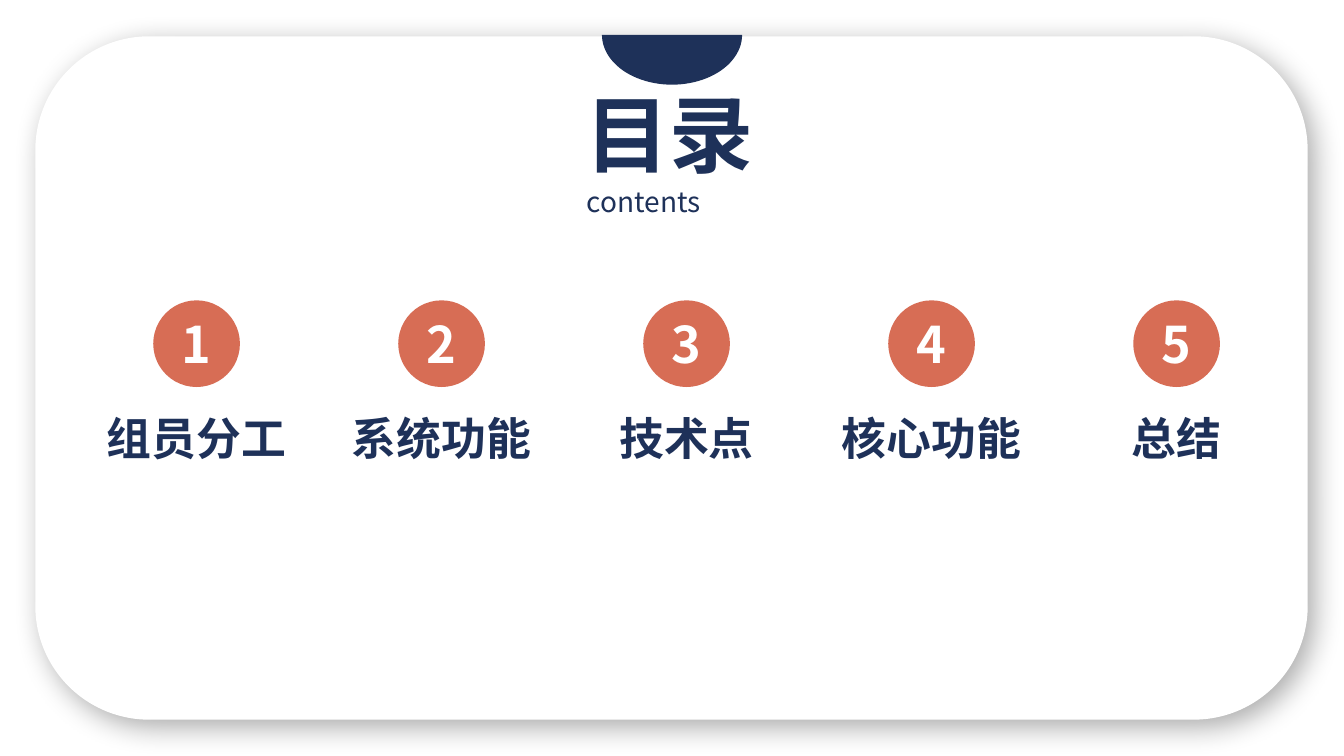
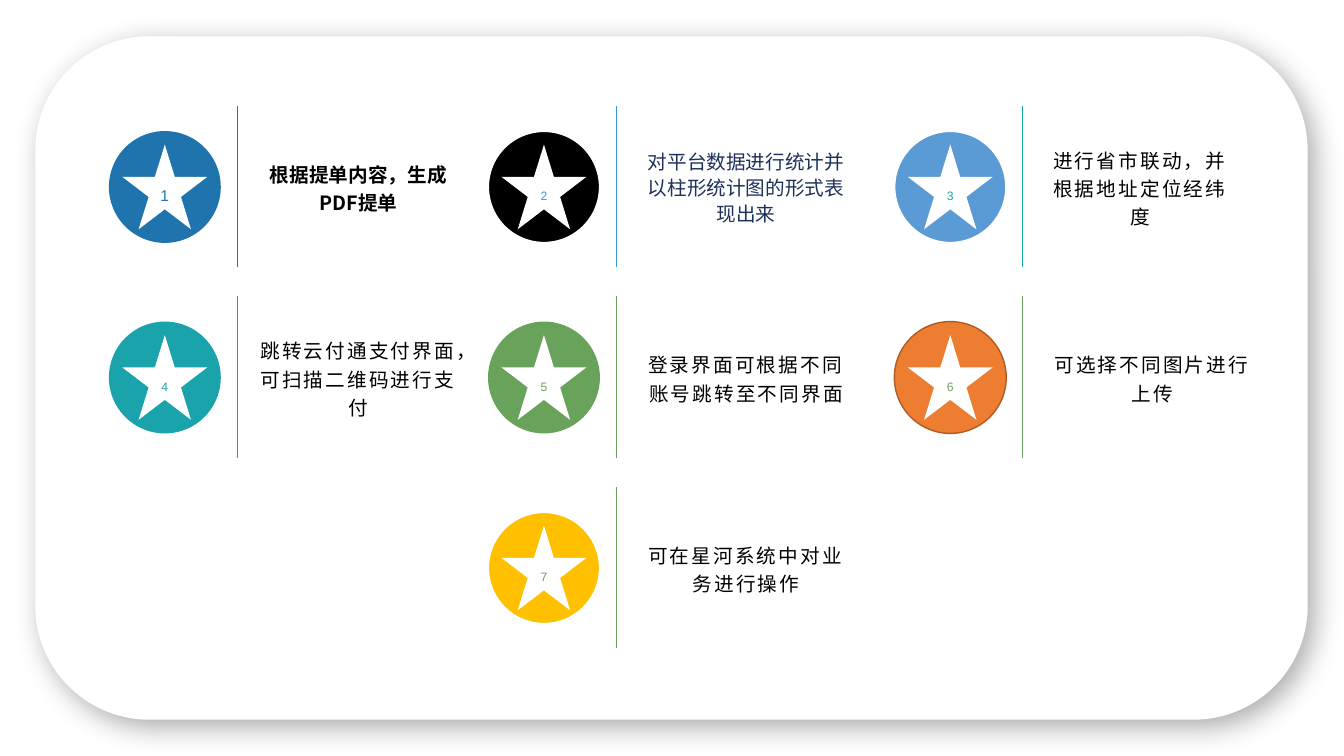
import lxml.etree
import pptx
import pptx.dml.color
import pptx.enum.shapes
import pptx.enum.text
import pptx.oxml.ns
import pptx.util

Inches = pptx.util.Inches
Pt = pptx.util.Pt
RGBColor = pptx.dml.color.RGBColor
SHAPE = pptx.enum.shapes.MSO_SHAPE
ALIGN = pptx.enum.text.PP_ALIGN
ANCHOR = pptx.enum.text.MSO_ANCHOR
qn = pptx.oxml.ns.qn

NAVY = RGBColor(0x1E, 0x31, 0x59)
CORAL = RGBColor(0xD7, 0x6D, 0x55)
WHITE = RGBColor(0xFF, 0xFF, 0xFF)
BLACK = RGBColor(0x00, 0x00, 0x00)
BLUE = RGBColor(0x1F, 0x74, 0xAD)
BRIGHT = RGBColor(0x34, 0x98, 0xDB)
SKY = RGBColor(0x5B, 0x9B, 0xD5)
TEAL = RGBColor(0x1A, 0xA3, 0xAA)
GREEN = RGBColor(0x69, 0xA3, 0x5B)
ORANGE = RGBColor(0xED, 0x7D, 0x31)
BROWN = RGBColor(0xAF, 0x5C, 0x24)
YELLOW = RGBColor(0xFF, 0xC0, 0x00)

SANS = "Noto Sans CJK SC"
ARIAL = "Arial"

TOPICS = ["组员分工", "系统功能", "技术点", "核心功能", "总结"]
PLAIN = dict(size=14, color=BLACK, font=ARIAL, spacing=1.2, tracking=1.5)
COLUMNS = [1.08, 4.84, 8.87]
FEATURES = [
    (0, 0, 2.17, BLUE, None, BLUE, "根据提单内容，生成PDF提单",
     dict(font=SANS, bold=True, tracking=0)),
    (1, 0, 2.34, BLACK, (WHITE, 1.5), BRIGHT, "对平台数据进行统计并以柱形统计图的形式表现出来",
     dict(font=SANS, color=NAVY, spacing=1.1, tracking=0)),
    (2, 0, 2.1, SKY, (WHITE, 1.5), TEAL, "进行省市联动，并根据地址定位经纬度", {}),
    (0, 1, 2.17, TEAL, None, TEAL, "跳转云付通支付界面，可扫描二维码进行支付", {}),
    (1, 1, 2.34, GREEN, None, GREEN, "登录界面可根据不同账号跳转至不同界面", {}),
    (2, 1, 2.34, ORANGE, (BROWN, 1), GREEN, "可选择不同图片进行上传", {}),
    (1, 2, 2.34, YELLOW, (WHITE, 1.5), GREEN, "可在星河系统中对业务进行操作", {}),
]


class Deck:
    """Hold the shared style and the slide being built."""

    def __init__(self):
        self.prs = pptx.Presentation()
        self.prs.slide_width = Inches(13.33)
        self.prs.slide_height = Inches(7.5)
        self.s = None

    def slide(self, layout):
        """Start a slide with the shadowed card behind everything."""
        self.s = self.prs.slides.add_slide(self.prs.slide_layouts[layout])
        card = self.shape(SHAPE.ROUNDED_RECTANGLE, 0.35, 0.36, 12.62, 6.78, WHITE)
        effects = card._element.spPr.find(qn("a:effectLst"))
        shadow = lxml.etree.SubElement(
            effects, qn("a:outerShdw"), blurRad=str(Pt(21)), dist=str(Pt(8)),
            dir="2700000", algn="tl", rotWithShape="0")
        color = lxml.etree.SubElement(shadow, qn("a:srgbClr"), val=str(BLACK))
        lxml.etree.SubElement(color, qn("a:alpha"), val="32000")
        self.s.shapes._spTree.insert(2, card._element)

    def fill_text(self, tf, text, size, color, font=SANS, bold=False,
                  align=ALIGN.CENTER, anchor=ANCHOR.MIDDLE, spacing=None, tracking=0):
        """Fill a text frame with one styled paragraph."""
        tf.vertical_anchor = anchor
        p = tf.paragraphs[0]
        p.text = text
        p.alignment = align
        if spacing:
            p.line_spacing = spacing
        p.font.size = Pt(size)
        p.font.bold = bold
        p.font.color.rgb = color
        p.font.name = font
        props = p.font._element
        lxml.etree.SubElement(props, qn("a:ea"), typeface=SANS)
        if tracking:
            props.set("spc", str(int(tracking * 100)))

    def title(self, text, x, y, w, h):
        """Place and style the title placeholder."""
        sp = self.s.shapes.title
        sp.left, sp.top, sp.width, sp.height = map(Inches, (x, y, w, h))
        tf = sp.text_frame
        tf.word_wrap = False
        tf.auto_size = pptx.enum.text.MSO_AUTO_SIZE.NONE
        self.fill_text(tf, text, 60, NAVY, bold=True, align=ALIGN.LEFT, anchor=ANCHOR.TOP)

    def text(self, text, x, y, w, h, inset=True, **style):
        """Add a wrapped text box, or a tight one-line label without insets."""
        tf = self.s.shapes.add_textbox(*map(Inches, (x, y, w, h))).text_frame
        tf.word_wrap = inset
        if not inset:
            tf.margin_left = tf.margin_right = tf.margin_top = tf.margin_bottom = 0
        self.fill_text(tf, text, **style)

    def shape(self, kind, x, y, w, h, fill, line=None):
        """Add a flat filled shape with an optional outline."""
        sp = self.s.shapes.add_shape(kind, *map(Inches, (x, y, w, h)))
        sp.shadow.inherit = False
        sp.fill.solid()
        sp.fill.fore_color.rgb = fill
        if line:
            sp.line.color.rgb, sp.line.width = line[0], Pt(line[1])
        else:
            sp.line.fill.background()
        return sp

    def divider(self, x, y, h, color):
        """Add a thin vertical line."""
        c = self.s.shapes.add_connector(
            pptx.enum.shapes.MSO_CONNECTOR.STRAIGHT, *map(Inches, (x, y, x, y + h)))
        c.line.color.rgb = color
        c.line.width = Pt(0.5)
        lxml.etree.SubElement(c._element.spPr, qn("a:effectLst"))

    def topic(self, number, name):
        """Add a numbered circle with its label centred below."""
        x, d = 1.52 + 2.43 * (number - 1), 0.86
        sp = self.shape(SHAPE.OVAL, x, 2.98, d, d, CORAL)
        self.fill_text(sp.text_frame, str(number), 36, WHITE, bold=True)
        w = 0.45 * len(name)
        self.text(name, x + (d - w) / 2, 4.07, w, 0.54, inset=False,
                  size=32, color=NAVY, bold=True, anchor=ANCHOR.TOP)

    def feature(self, number, col, row, width, fill, line, accent, text, style):
        """Add a star badge, a divider and a description."""
        x, y = COLUMNS[col], 1.3 + 1.89 * row
        d, star = 1.11, 0.84
        gap = (d - star) / 2
        self.shape(SHAPE.OVAL, x, y, d, d, fill, line)
        sp = self.shape(SHAPE.STAR_5_POINT, x + gap, y + gap, star, star, WHITE)
        size, spacing = (11.1, 1.2) if number == 1 else (8.7, 1.4)
        self.fill_text(sp.text_frame, str(number), size, accent, ARIAL,
                       spacing=spacing, tracking=1.5)
        self.divider(x + 1.27, y - 0.25, 1.6, accent)
        self.text(text, x + 1.39, y - 0.18, width, 1.46, **{**PLAIN, **style})


def main():
    deck = Deck()

    deck.slide(5)
    deck.title("目录", 5.71, 0.77, 1.88, 1.11)
    deck.text("contents", 5.72, 1.78, 1.89, 0.44, size=20, color=NAVY,
              align=ALIGN.JUSTIFY, anchor=ANCHOR.TOP)
    tab = deck.shape(SHAPE.PIE, 5.97, -0.15, 1.39, 0.99, NAVY)
    tab.adjustments[0] = 0
    tab.adjustments[1] = 108
    for number, name in enumerate(TOPICS, 1):
        deck.topic(number, name)

    deck.slide(6)
    for number, feature in enumerate(FEATURES, 1):
        deck.feature(number, *feature)

    deck.prs.save("out.pptx")


if __name__ == "__main__":
    main()
